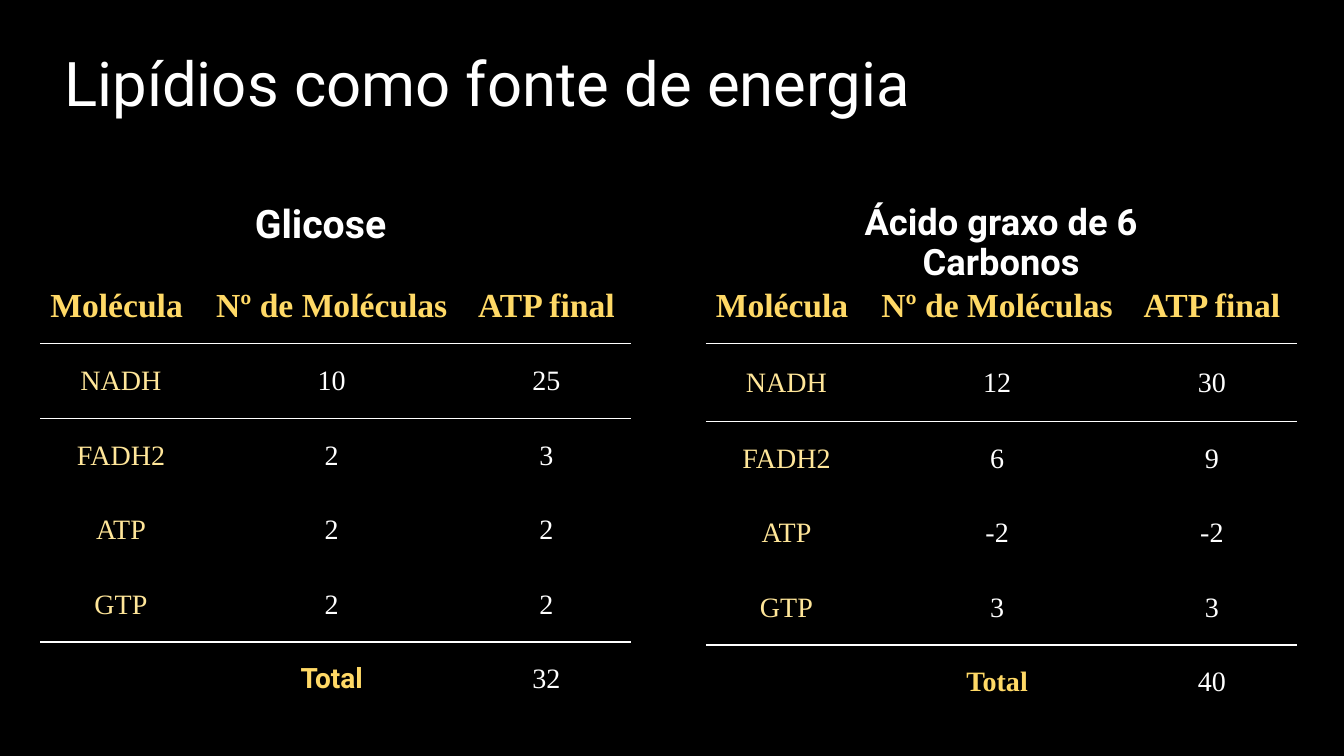
from lxml.etree import SubElement
from pptx import Presentation
from pptx.dml.color import RGBColor
from pptx.enum.text import MSO_ANCHOR, PP_ALIGN
from pptx.oxml.ns import qn
from pptx.util import Inches, Pt

COLORS = {"background": "000000", "text": "FFFFFF", "header": "FFD966", "molecule": "FFE699"}
SANS, SERIF = "Roboto", "Times New Roman"
NO_GRID_STYLE = "{2D5ABB26-0587-4C30-8999-92F81FD0307C}"

TITLE = "Lipídios como fonte de energia"
HEADER = ("Molécula", "Nº de Moléculas", "ATP final")
COL_WIDTHS = (1.6, 2.58, 1.68)
ROW_HEIGHT = 0.74
TABLE_TOP = 2.67

PANELS = [
    {
        "heading": "Glicose", "size": 28, "box": (1.23, 1.98, 3.9, 0.58),
        "left": 0.4, "first_row": 0.74, "total_font": SANS,
        "rows": [("NADH", "10", "25"), ("FADH2", "2", "3"), ("ATP", "2", "2"),
                 ("GTP", "2", "2"), ("", "Total", "32")],
    },
    {
        "heading": "Ácido graxo de 6 Carbonos", "size": 25.9, "box": (7.68, 1.98, 4.5, 0.58),
        "left": 7, "first_row": 0.77, "total_font": SERIF,
        "rows": [("NADH", "12", "30"), ("FADH2", "6", "9"), ("ATP", "-2", "-2"),
                 ("GTP", "3", "3"), ("", "Total", "40")],
    },
]


def set_font(p, name, size, color, bold=False):
    p.font.name, p.font.size, p.font.bold = name, Pt(size), bold
    p.font.color.rgb = RGBColor.from_string(COLORS[color])


def add_text(s, box, text, size, bold=False, align=PP_ALIGN.LEFT, anchor=MSO_ANCHOR.TOP):
    tf = s.shapes.add_textbox(*map(Inches, box)).text_frame
    tf.word_wrap = True
    tf.vertical_anchor = anchor
    p = tf.paragraphs[0]
    p.text = text
    p.alignment = align
    p.line_spacing = 0.9
    set_font(p, SANS, size, "text", bold)


def add_border(cell, side):
    ln = SubElement(cell._tc.get_or_add_tcPr(), qn(f"a:{side}"), w=str(Pt(1)))
    fill = SubElement(ln, qn("a:solidFill"))
    SubElement(fill, qn("a:srgbClr"), val=COLORS["text"])


def cell_style(row, col, last, total_font):
    """Font name, size, colour and weight for one table cell."""
    if row == 0:
        return SERIF, 24, "header", True
    if row == last and col == 1:
        return total_font, 20, "header", True
    return SERIF, 20, "molecule" if col == 0 else "text", False


def add_energy_table(s, panel):
    rows = [HEADER, *panel["rows"]]
    last = len(rows) - 1
    heights = [ROW_HEIGHT, panel["first_row"]] + [ROW_HEIGHT] * (last - 1)
    frame = s.shapes.add_table(
        len(rows), len(HEADER), Inches(panel["left"]), Inches(TABLE_TOP),
        Inches(sum(COL_WIDTHS)), Inches(sum(heights)))
    table = frame.table
    table._tbl.tblPr.find(qn("a:tableStyleId")).text = NO_GRID_STYLE
    for column, width in zip(table.columns, COL_WIDTHS):
        column.width = Inches(width)
    for i, values in enumerate(rows):
        table.rows[i].height = Inches(heights[i])
        for j, value in enumerate(values):
            cell = table.cell(i, j)
            # Rules under the header and above the total
            if i in (1, last):
                add_border(cell, "lnT")
            if i in (0, last - 1):
                add_border(cell, "lnB")
            cell.fill.background()
            cell.vertical_anchor = MSO_ANCHOR.MIDDLE
            p = cell.text_frame.paragraphs[0]
            p.text = value
            p.alignment = PP_ALIGN.LEFT if i == j == 0 else PP_ALIGN.CENTER
            set_font(p, *cell_style(i, j, last, panel["total_font"]))


def main():
    prs = Presentation()
    prs.slide_width, prs.slide_height = Inches(13.33), Inches(7.5)
    s = prs.slides.add_slide(prs.slide_layouts[6])
    s.background.fill.solid()
    s.background.fill.fore_color.rgb = RGBColor.from_string(COLORS["background"])

    # Title
    add_text(s, (0.54, 0.38, 11.5, 0.96), TITLE, 44, anchor=MSO_ANCHOR.MIDDLE)

    # Heading and table for each energy source
    for panel in PANELS:
        add_energy_table(s, panel)
        add_text(s, panel["box"], panel["heading"], panel["size"], True, PP_ALIGN.CENTER)

    prs.save("out.pptx")


if __name__ == "__main__":
    main()
